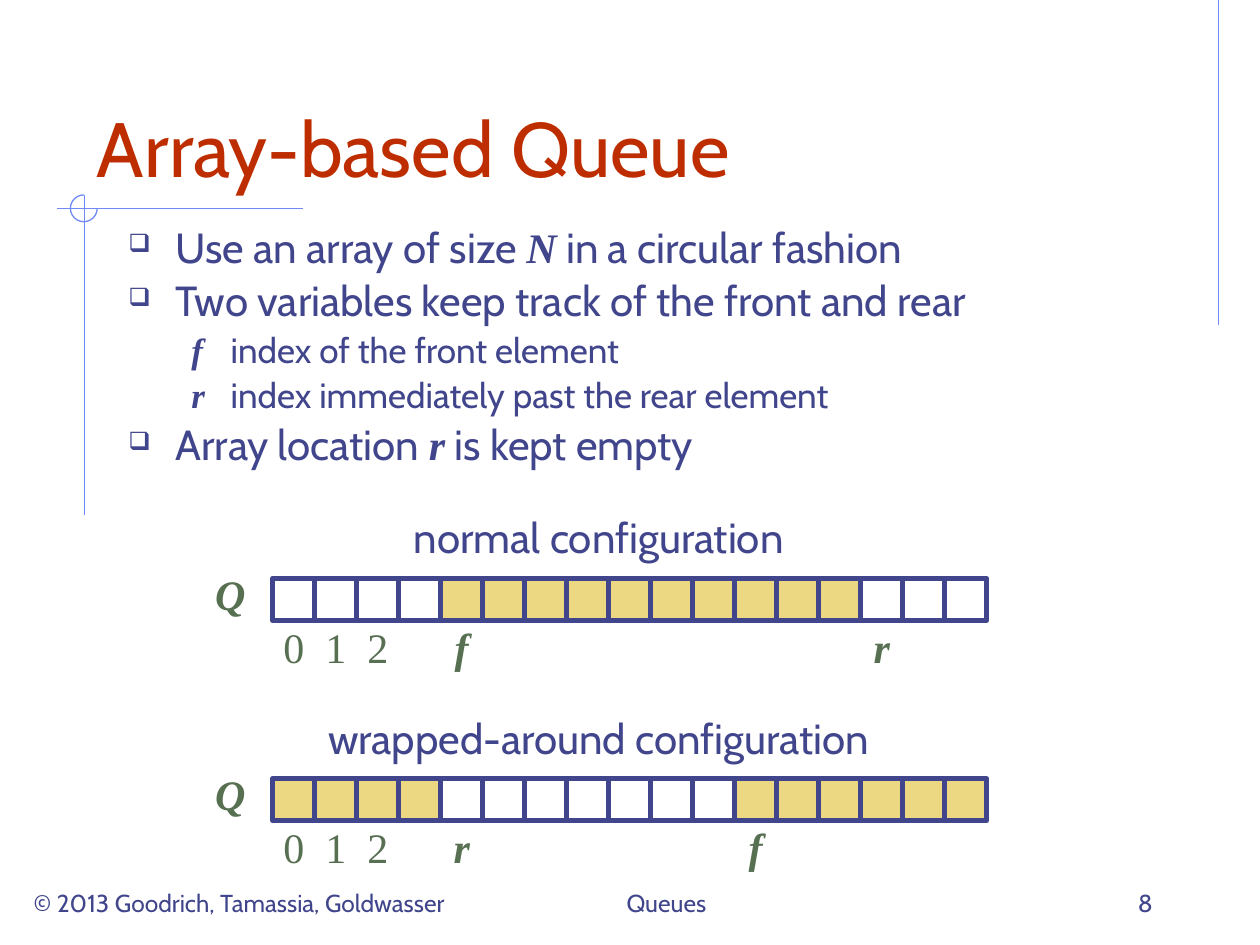
from typing import NamedTuple

from lxml import etree
from pptx import Presentation
from pptx.dml.color import RGBColor
from pptx.enum.shapes import MSO_CONNECTOR, MSO_SHAPE
from pptx.enum.text import MSO_ANCHOR, MSO_AUTO_SIZE, PP_ALIGN
from pptx.oxml.ns import qn
from pptx.util import Cm, Pt

LEFT, CENTER, RIGHT = PP_ALIGN.LEFT, PP_ALIGN.CENTER, PP_ALIGN.RIGHT
TOP, BOTTOM = MSO_ANCHOR.TOP, MSO_ANCHOR.BOTTOM
NO_AUTOFIT = MSO_AUTO_SIZE.NONE
STRAIGHT = MSO_CONNECTOR.STRAIGHT
RECTANGLE, ARC = MSO_SHAPE.RECTANGLE, MSO_SHAPE.ARC

COLORS = {
    "title": "BE2D00",
    "text": "40458C",
    "label": "577052",
    "rule": "6F89F7",
    "used": "ECD882",
    "empty": "FFFFFF",
}
SANS, SERIF = "Cabin", "Times New Roman"

# Lengths in cm
CELL_COUNT = 17
ROW_LEFT, ROW_WIDTH = 5.5, 14.39
CELL = ROW_WIDTH / CELL_COUNT
LABEL_HEIGHT = 1.02
CAPTION_CENTER = 12.07


class Box(NamedTuple):
    left: float
    top: float
    width: float
    height: float

    def lengths(self):
        return [Cm(v) for v in self]


class Queue(NamedTuple):
    caption: str
    caption_width: float
    top: float
    front: int
    rear: int


class Bullet(NamedTuple):
    text: str
    level: int = 0


class Footer(NamedTuple):
    text: str
    box: Box
    align: PP_ALIGN


QUEUES = [
    Queue("normal configuration", 8.23, 11.66, front=4, rear=14),
    Queue("wrapped-around configuration", 11.81, 15.7, front=11, rear=4),
]
BULLETS = [
    Bullet("Use an array of size *N* in a circular fashion"),
    Bullet("Two variables keep track of the front and rear"),
    Bullet("*f* \tindex of the front element", 1),
    Bullet("*r*\tindex immediately past the rear element", 1),
    Bullet("Array location *r* is kept empty"),
]
FOOTERS = [
    Footer("© 2013 Goodrich, Tamassia, Goldwasser", Box(0.43, 17.35, 9.53, 1.27), LEFT),
    Footer("Queues", Box(10.16, 17.35, 6.55, 1.27), CENTER),
    Footer("8", Box(18.21, 17.35, 5.28, 1.27), RIGHT),
]
RULES = [
    ((24.56, 0), (24.56, 6.55)),
    ((6.1, 4.2), (1.14, 4.2)),
    ((1.7, 3.93), (1.7, 10.39)),
]


def rgb(name: str) -> RGBColor:
    return RGBColor.from_string(COLORS[name])


def write(p, text: str, *, size=24, color="text", font=SANS, align=LEFT) -> None:
    """Fill a paragraph; parts between asterisks are set as variables."""
    p.alignment = align
    for i, part in enumerate(text.split("*")):
        if not part:
            continue
        variable = i % 2 == 1
        r = p.add_run()
        r.text = part
        r.font.name = SERIF if variable else font
        r.font.size = Pt(size)
        r.font.bold = r.font.italic = variable
        r.font.color.rgb = rgb(color)


def add_text(shapes, box: Box, text: str, *, anchor=TOP, wrap=True, inset=True, **style) -> None:
    tf = shapes.add_textbox(*box.lengths()).text_frame
    tf.word_wrap = wrap
    tf.vertical_anchor = anchor
    if not inset:
        tf.margin_left = tf.margin_top = tf.margin_right = tf.margin_bottom = 0
    write(tf.paragraphs[0], text, **style)


def set_bullet(p, level: int) -> None:
    """Set the hanging indent and, on the first level, the box bullet."""
    margin, hang = [(0.95, 0.95), (2.06, 0.79)][level]
    pPr = p._p.get_or_add_pPr()
    pPr.set("marL", str(Cm(margin)))
    pPr.set("indent", str(-Cm(hang)))
    if level:
        etree.SubElement(pPr, qn("a:buNone"))
        return
    color = etree.SubElement(pPr, qn("a:buClr"))
    etree.SubElement(color, qn("a:srgbClr"), val=COLORS["text"])
    etree.SubElement(pPr, qn("a:buSzPct"), val="60000")
    etree.SubElement(pPr, qn("a:buChar"), char="❑")


def add_bullets(shapes, box: Box, bullets: list[Bullet]) -> None:
    tf = shapes.add_textbox(*box.lengths()).text_frame
    tf.word_wrap = True
    for i, bullet in enumerate(bullets):
        p = tf.add_paragraph() if i else tf.paragraphs[0]
        size = 20 if bullet.level else 24
        p.level = bullet.level
        p.line_spacing = 0.9
        p.space_before = Pt(size * 0.2)
        set_bullet(p, bullet.level)
        write(p, bullet.text, size=size)


def add_decoration(shapes) -> None:
    group = shapes.add_group_shape().shapes
    for start, end in RULES:
        line = group.add_connector(STRAIGHT, *[Cm(v) for v in start + end])
        line.line.color.rgb = rgb("rule")
        line.line.width = Pt(0.75)
        etree.SubElement(line._element.spPr, qn("a:effectLst"))
    arc = group.add_shape(ARC, *Box(1.42, 3.93, 0.54, 0.54).lengths())
    arc.adjustments[0] = 0
    arc.adjustments[1] = 162  # 270 degrees, in units of 100000/60000 degree
    arc.shadow.inherit = False
    arc.fill.background()
    arc.line.color.rgb = rgb("rule")
    arc.line.width = Pt(0.75)


def add_queue(shapes, queue: Queue) -> None:
    caption_left = CAPTION_CENTER - queue.caption_width / 2
    add_text(shapes, Box(caption_left, queue.top - 1.47, queue.caption_width, 1.27),
             queue.caption, wrap=False, align=CENTER)

    group = shapes.add_group_shape().shapes
    label_style = dict(inset=False, color="label", font=SERIF, align=CENTER)
    add_text(group, Box(4.24, queue.top - 0.2, 0.81, LABEL_HEIGHT), "*Q*", **label_style)

    labels = {0: "0", 1: "1", 2: "2", queue.front: "*f*", queue.rear: "*r*"}
    for index, text in labels.items():
        width = 0.43 if text.isdigit() else 0.79
        left = ROW_LEFT + index * CELL + (CELL - width) / 2
        add_text(group, Box(left, queue.top + 0.87, width, LABEL_HEIGHT), text,
                 wrap=not text.isdigit(), **label_style)

    used_count = (queue.rear - queue.front) % CELL_COUNT
    for index in range(CELL_COUNT):
        used = (index - queue.front) % CELL_COUNT < used_count
        cell = group.add_shape(
            RECTANGLE, *Box(ROW_LEFT + index * CELL, queue.top, CELL, CELL).lengths())
        cell.shadow.inherit = False
        cell.fill.solid()
        cell.fill.fore_color.rgb = rgb("used" if used else "empty")
        cell.line.color.rgb = rgb("text")
        cell.line.width = Pt(3)


def set_title(title, box: Box, text: str) -> None:
    title.left, title.top, title.width, title.height = box.lengths()
    tf = title.text_frame
    tf.auto_size = NO_AUTOFIT
    tf.word_wrap = True
    tf.vertical_anchor = BOTTOM
    write(tf.paragraphs[0], text, size=44, color="title")


def main() -> None:
    prs = Presentation()
    prs.slide_width, prs.slide_height = Cm(25.4), Cm(19.05)
    s = prs.slides.add_slide(prs.slide_layouts[5])
    add_decoration(s.shapes)
    set_title(s.shapes.title, Box(1.7, 0.84, 21.59, 3.18), "Array-based Queue")
    add_bullets(s.shapes, Box(2.34, 4.45, 20.75, 5.28), BULLETS)
    for queue in QUEUES:
        add_queue(s.shapes, queue)
    for footer in FOOTERS:
        add_text(s.shapes, footer.box, footer.text, anchor=BOTTOM, size=14, align=footer.align)
    prs.save("out.pptx")


if __name__ == "__main__":
    main()
